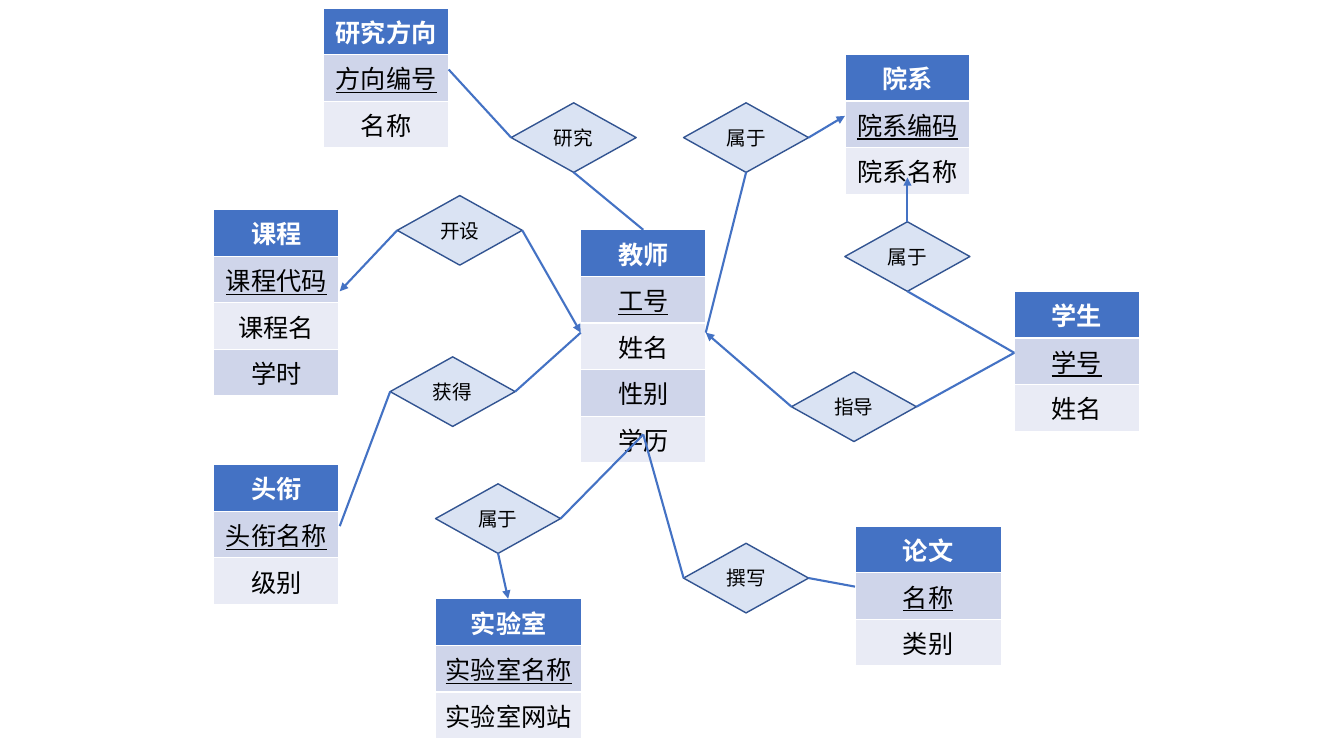
from dataclasses import dataclass

import pptx
import pptx.dml.color
import pptx.enum.shapes
import pptx.enum.text
import pptx.oxml
import pptx.oxml.ns
import pptx.util

PX = 9144  # EMU per px, 100 px to the inch
FONT = "Noto Sans CJK SC"
ROW = 41
WIDE, TALL = 124, 69  # size of a diamond
TOP, LEFT, BOTTOM, RIGHT = range(4)
COLORS = {
    "head": "4472C4", "odd": "CFD5EA", "even": "E9EBF5", "white": "FFFFFF",
    "text": "000000", "fill": "DAE3F3", "edge": "325491", "link": "4472C4",
}


@dataclass
class Entity:
    x: int
    y: int
    names: list[str]  # title, key, then plain fields
    width: int = 124
    head: int = ROW


@dataclass
class Link:
    site: int
    x: int
    y: int
    arrow: bool = False


@dataclass
class Relation:
    x: int
    y: int
    name: str
    links: list[Link]


ENTITIES = [
    Entity(576, 228, ["教师", "工号", "姓名", "性别", "学历"]),
    Entity(838, 54, ["院系", "院系编码", "院系名称"]),
    Entity(212, 208, ["课程", "课程代码", "课程名", "学时"]),
    Entity(848, 522, ["论文", "名称", "类别"], 145, 37),
    Entity(432, 594, ["实验室", "实验室名称", "实验室网站"], 145),
    Entity(1006, 289, ["学生", "学号", "姓名"]),
    Entity(212, 461, ["头衔", "头衔名称", "级别"]),
    Entity(321, 8, ["研究方向", "方向编号", "名称"]),
]
RELATIONS = [
    Relation(507, 102, "研究", [Link(BOTTOM, 638, 228), Link(LEFT, 445, 69)]),
    Relation(678, 102, "属于", [Link(BOTTOM, 700, 330), Link(RIGHT, 838, 115, True)]),
    Relation(838, 220, "属于", [Link(TOP, 900, 176, True), Link(BOTTOM, 1006, 350)]),
    Relation(678, 539, "撰写", [Link(LEFT, 638, 431), Link(RIGHT, 848, 582)]),
    Relation(785, 369, "指导", [Link(LEFT, 700, 330, True), Link(RIGHT, 1006, 350)]),
    Relation(432, 480, "属于", [Link(BOTTOM, 504, 594, True), Link(RIGHT, 638, 431)]),
    Relation(387, 354, "获得", [Link(RIGHT, 576, 330), Link(LEFT, 337, 522)]),
    Relation(394, 194, "开设", [Link(RIGHT, 576, 330, True), Link(LEFT, 337, 289, True)]),
]


def px(size: int) -> int:
    return pptx.util.Emu(size * PX)


def color(name: str) -> pptx.dml.color.RGBColor:
    return pptx.dml.color.RGBColor.from_string(COLORS[name])


def add(parent, tag: str, attrs: str = "") -> None:
    space = pptx.oxml.ns.nsdecls("a")
    parent.append(pptx.oxml.parse_xml(f"<a:{tag} {space} {attrs}/>"))


def write(frame, text: str, size: int, tint: str, bold=False, under=False) -> None:
    frame.text = text
    para = frame.paragraphs[0]
    para.alignment = pptx.enum.text.PP_ALIGN.CENTER
    font = para.runs[0].font
    font.size = pptx.util.Pt(size)
    font.name = FONT
    font.bold = bold
    font.underline = under
    font.color.rgb = color(tint)
    add(para.runs[0]._r.get_or_add_rPr(), "ea", f'typeface="{FONT}"')


def draw_entity(shapes, item: Entity) -> None:
    count = len(item.names)
    height = item.head + ROW * (count - 1)
    frame = shapes.add_table(count, 1, px(item.x), px(item.y), px(item.width), px(height))
    table = frame.table
    for row, name in enumerate(item.names):
        head = row == 0
        table.rows[row].height = px(item.head if head else ROW)
        cell = table.cell(row, 0)
        cell.margin_left = cell.margin_right = px(5)
        write(cell.text_frame, name, 18, "white" if head else "text", head, row == 1)
        cell.fill.solid()
        cell.fill.fore_color.rgb = color("head" if head else "odd" if row % 2 else "even")


def draw_diamond(shapes, item: Relation):
    kind = pptx.enum.shapes.MSO_SHAPE.FLOWCHART_DECISION
    shape = shapes.add_shape(kind, px(item.x), px(item.y), px(WIDE), px(TALL))
    shape.shadow.inherit = False
    shape.fill.solid()
    shape.fill.fore_color.rgb = color("fill")
    shape.line.color.rgb = color("edge")
    shape.line.width = pptx.util.Pt(1)
    shape.text_frame.vertical_anchor = pptx.enum.text.MSO_ANCHOR.MIDDLE
    write(shape.text_frame, item.name, 14, "text")
    return shape


def draw_link(shapes, shape, link: Link) -> None:
    kind = pptx.enum.shapes.MSO_CONNECTOR.STRAIGHT
    end = px(link.x), px(link.y)
    line = shapes.add_connector(kind, *end, *end)
    line.begin_connect(shape, link.site)
    line.line.color.rgb = color("link")
    line.line.width = pptx.util.Pt(1.5)
    if link.arrow:
        add(line.line._get_or_add_ln(), "tailEnd", 'type="triangle"')
    add(line._element.spPr, "effectLst")


def main() -> None:
    deck = pptx.Presentation()
    deck.slide_width, deck.slide_height = px(1333), px(750)
    shapes = deck.slides.add_slide(deck.slide_layouts[6]).shapes

    # Entity tables, with white borders from the default table style
    for item in ENTITIES:
        draw_entity(shapes, item)

    # Relation diamonds, then their links
    pairs = [(draw_diamond(shapes, item), item.links) for item in RELATIONS]
    for shape, links in pairs:
        for link in links:
            draw_link(shapes, shape, link)

    deck.save("out.pptx")


if __name__ == "__main__":
    main()
